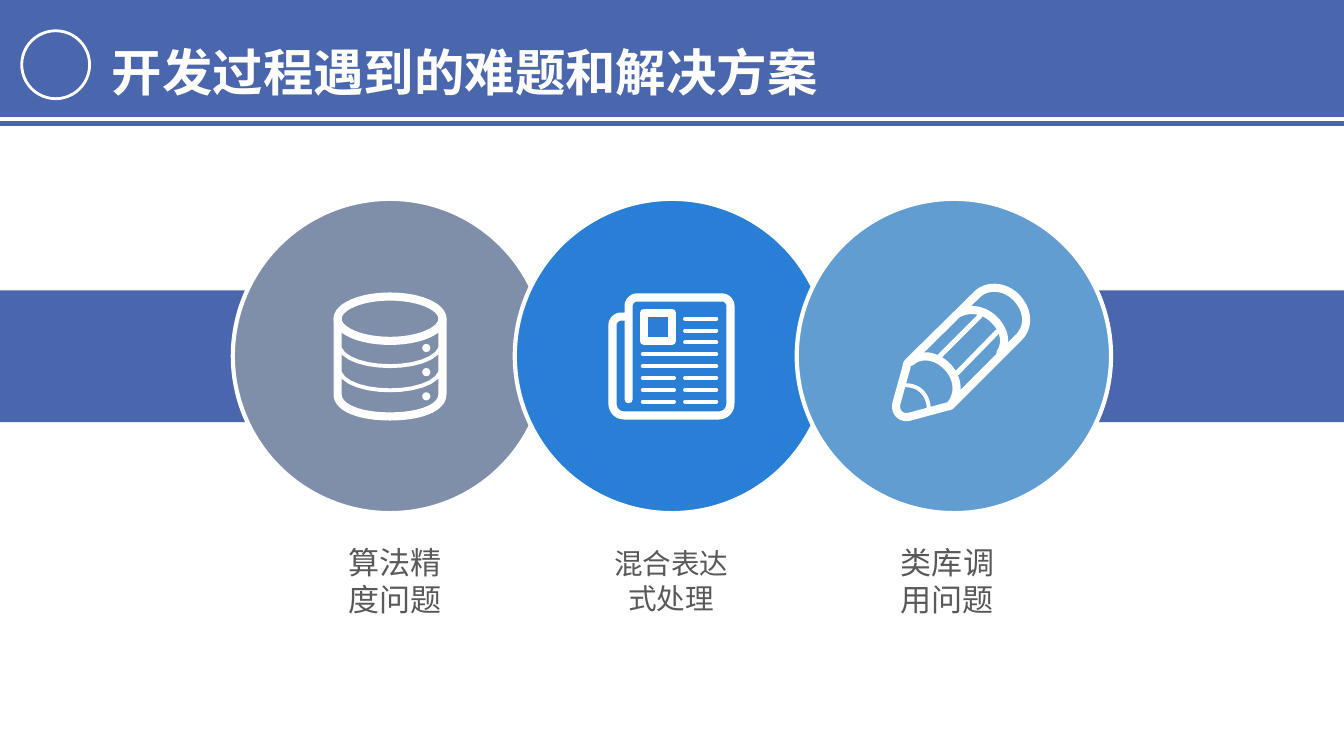
from pptx import Presentation
from pptx.dml.color import RGBColor
from pptx.enum.shapes import MSO_CONNECTOR, MSO_SHAPE
from pptx.enum.text import MSO_ANCHOR, MSO_AUTO_SIZE, PP_ALIGN
from pptx.oxml.ns import qn
from pptx.util import Pt
from lxml.etree import SubElement

# Content: caption, caption size, circle colour
TITLE = "开发过程遇到的难题和解决方案"
TOPICS = [
    ("算法精度问题", 22.2, "7F8FA9"),
    ("混合表达式处理", 20.4, "297FD5"),
    ("类库调用问题", 22.2, "629DD1"),
]
FONT, BLUE, WHITE, GREY = "Noto Sans CJK SC", "4A66AC", "FFFFFF", "595959"

# Icon strokes, measured from the circle centre on a grid of UNIT points.
# Each stroke is (width, start, steps); a step is a line end or a cubic curve.
UNIT = 0.72
THICK, MEDIUM, THIN = 5.8, 3.6, 2.8
DATABASE = [
    (THICK, (-52, -37), [(-52, -49, -29, -59, 0, -59), (29, -59, 52, -49, 52, -37),
                         (52, -25, 29, -15, 0, -15), (-29, -15, -52, -25, -52, -37)]),
    (THICK, (-52, -37), [(-52, 38), (-52, 52, -29, 60, 0, 60),
                         (29, 60, 52, 52, 52, 38), (52, -37)]),
]
DATABASE += [(THIN, (-50, y), [(-40, y + 24, 40, y + 24, 50, y)]) for y in (-8, 16)]
DATABASE_LIGHTS = [(36, y) for y in (-8, 16, 40)]

NEWSPAPER = [
    (THICK, (-43, 43), [(-43, -50), (-43, -54, -39, -58, -35, -58),
                        (50, -58), (54, -58, 58, -54, 58, -50),
                        (58, 47), (58, 54, 53, 59, 46, 59),
                        (-47, 59), (-54, 59, -59, 54, -59, 47),
                        (-59, -31), (-59, -35, -55, -39, -51, -39), (-43, -39)]),
    (THICK, (-28, -43), [(0, -43), (0, -15), (-28, -15), (-28, -43)]),
]
LEFT_COLUMN, RIGHT_COLUMN, FULL_WIDTH = (-29, 2), (13, 44), (-29, 44)
PRINT_ROWS = [[RIGHT_COLUMN]] * 3 + [[FULL_WIDTH]] * 2 + [[LEFT_COLUMN, RIGHT_COLUMN]] * 3
for row, columns in enumerate(PRINT_ROWS):
    y = -37 + 11.75 * row
    NEWSPAPER += [(THIN, (left, y), [(right, y)]) for left, right in columns]

PENCIL = [
    (THICK, (22, -60), [(-44, 5), (-46, 7, -47, 8, -47, 11),
                        (-57, 47), (-59, 55, -53, 63, -43, 60),
                        (-6, 50), (-4, 50, -3, 49, -1, 47),
                        (64, -18), (75, -29, 74, -45, 62, -58),
                        (50, -70, 32, -71, 22, -60)]),
    (THICK, (6, -43), [(16, -48, 30, -46, 40, -36), (50, -26, 53, -13, 46, -3)]),
    (THICK, (-43, 6), [(-33, -3, -18, -1, -7, 10), (4, 21, 6, 37, -3, 48)]),
    (MEDIUM, (-14, 0), [(26, -40)]),
    (MEDIUM, (3, 17), [(43, -24)]),
    (THIN, (-48, 29), [(-42, 29, -36, 31, -32, 35), (-28, 39, -25, 45, -25, 52)]),
]
ICONS = [DATABASE, NEWSPAPER, PENCIL]

deck = Presentation()
deck.slide_width, deck.slide_height = Pt(960), Pt(540)
page = deck.slides.add_slide(deck.slide_layouts[5])


def colour(code):
    return RGBColor.from_string(code)


def add_solid(kind, left, top, width, height, fill, line_width=0):
    shape = page.shapes.add_shape(kind, Pt(left), Pt(top), Pt(width), Pt(height))
    shape.shadow.inherit = False
    shape.fill.solid()
    shape.fill.fore_color.rgb = colour(fill)
    if line_width:
        shape.line.color.rgb = colour(WHITE)
        shape.line.width = Pt(line_width)
    else:
        shape.line.fill.background()
    return shape


def format_text(para, size, code, bold=False):
    for span in para.runs:
        span.font.size, span.font.bold, span.font.name = Pt(size), bold, FONT
        span.font.color.rgb = colour(code)
        SubElement(span.font._element, qn("a:ea"), typeface=FONT)


def trace(start, steps, pieces=12):
    """Turn lines and cubic curves into a list of points after the start."""
    points, here = [], start
    for step in steps:
        if len(step) == 2:
            points.append(step)
        else:
            for piece in range(1, pieces + 1):
                t = piece / pieces
                weights = ((1 - t) ** 3, 3 * t * (1 - t) ** 2, 3 * t * t * (1 - t), t ** 3)
                xs, ys = (here[0], *step[0::2]), (here[1], *step[1::2])
                points.append((sum(w * x for w, x in zip(weights, xs)),
                               sum(w * y for w, y in zip(weights, ys))))
        here = step[-2:]
    return points


def add_stroke(centre_x, centre_y, width, start, steps):
    first, *rest = [(Pt(centre_x + x * UNIT), Pt(centre_y + y * UNIT))
                    for x, y in [start] + trace(start, steps)]
    if len(rest) == 1:
        stroke = page.shapes.add_connector(MSO_CONNECTOR.STRAIGHT, *first, *rest[0])
        SubElement(stroke._element.spPr, qn("a:effectLst"))
    else:
        builder = page.shapes.build_freeform(*first)
        builder.add_line_segments(rest, close=first == rest[-1])
        stroke = builder.convert_to_shape()
        stroke.shadow.inherit = False
        stroke.fill.background()
    stroke.line.color.rgb = colour(WHITE)
    stroke.line.width = Pt(width)
    outline = stroke.line._get_or_add_ln()
    outline.set("cap", "rnd")
    SubElement(outline, qn("a:round"))


# Header with title
header = add_solid(MSO_SHAPE.RECTANGLE, 0, 0, 960, 83.5, BLUE)
add_solid(MSO_SHAPE.RECTANGLE, 0, 86.5, 960, 3.5, BLUE)
add_solid(MSO_SHAPE.OVAL, 15.5, 22, 48.5, 48.5, BLUE, 2)
title = page.shapes.title
header._element.addnext(title._element)
title.left, title.top, title.width, title.height = Pt(72.7), Pt(4.3), Pt(555), Pt(66.2)
title.text_frame.text = TITLE
title.text_frame.auto_size = MSO_AUTO_SIZE.NONE
title.text_frame.vertical_anchor = MSO_ANCHOR.TOP
title_para = title.text_frame.paragraphs[0]
title_para.alignment, title_para.line_spacing = PP_ALIGN.LEFT, 1.5
format_text(title_para, 36, WHITE, True)

# Side bands
BAND_WIDTH = 246.5
for left in (0, 960 - BAND_WIDTH):
    add_solid(MSO_SHAPE.RECTANGLE, left, 207.5, BAND_WIDTH, 94, BLUE)

# Circles, spaced evenly about the page centre
DIAMETER, CENTRE_Y = 224.5, 254.3
CENTRES = [480 + 201.4 * (index - 1) for index in range(3)]
for centre_x, (_, _, fill) in zip(CENTRES, TOPICS):
    add_solid(MSO_SHAPE.OVAL, centre_x - DIAMETER / 2, CENTRE_Y - DIAMETER / 2,
              DIAMETER, DIAMETER, fill, 3)

# Icons
for centre_x, icon in zip(CENTRES, ICONS):
    for stroke_parts in icon:
        add_stroke(centre_x, CENTRE_Y, *stroke_parts)
LIGHT = 5.8
for x, y in DATABASE_LIGHTS:
    add_solid(MSO_SHAPE.OVAL, CENTRES[0] + x * UNIT - LIGHT / 2,
              CENTRE_Y + y * UNIT - LIGHT / 2, LIGHT, LIGHT, WHITE)

# Captions
for index, (caption, size, _) in enumerate(TOPICS):
    box = page.shapes.add_textbox(Pt(229.7 + 197.3 * index), Pt(386.6), Pt(105), Pt(56.2))
    frame = box.text_frame
    frame.word_wrap, frame.vertical_anchor = True, MSO_ANCHOR.MIDDLE
    frame.margin_left = frame.margin_right = Pt(9.4)
    frame.margin_top = frame.margin_bottom = Pt(5)
    frame.text = caption
    frame.paragraphs[0].alignment = PP_ALIGN.CENTER
    format_text(frame.paragraphs[0], size, GREY)

deck.save("out.pptx")
